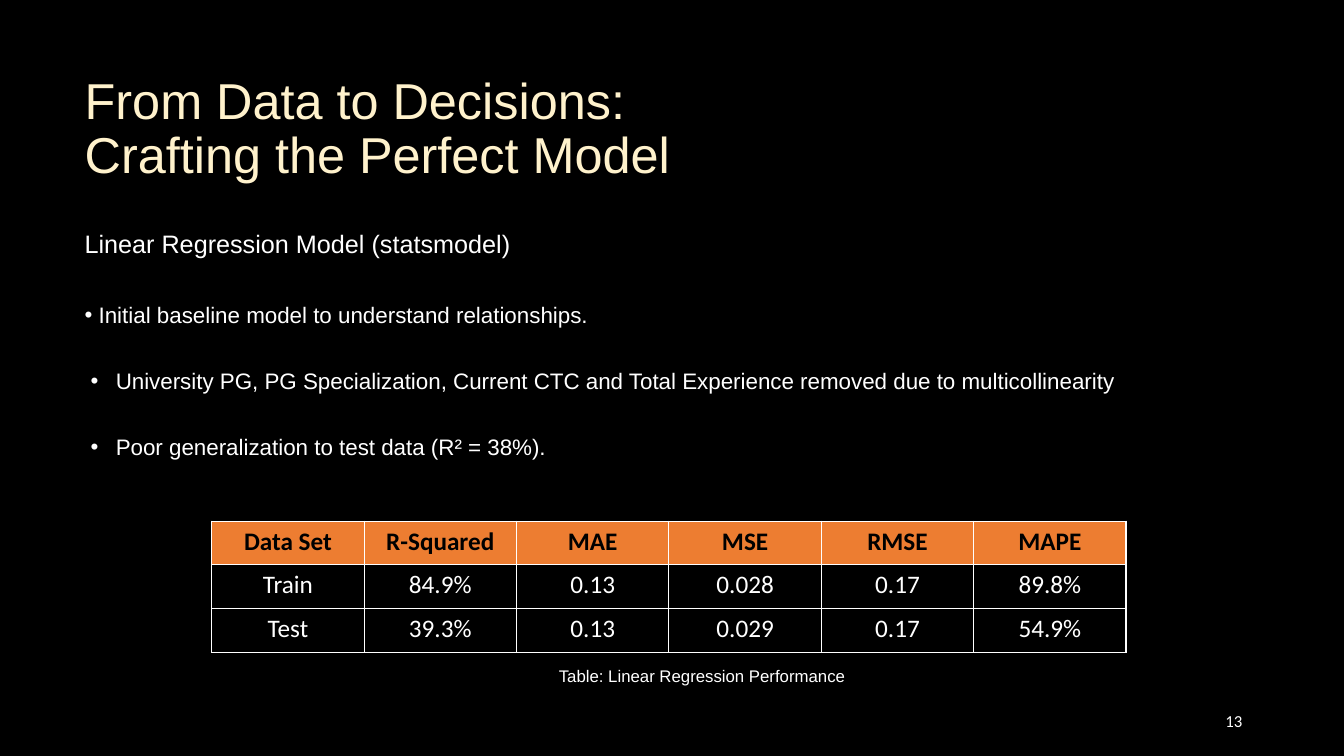
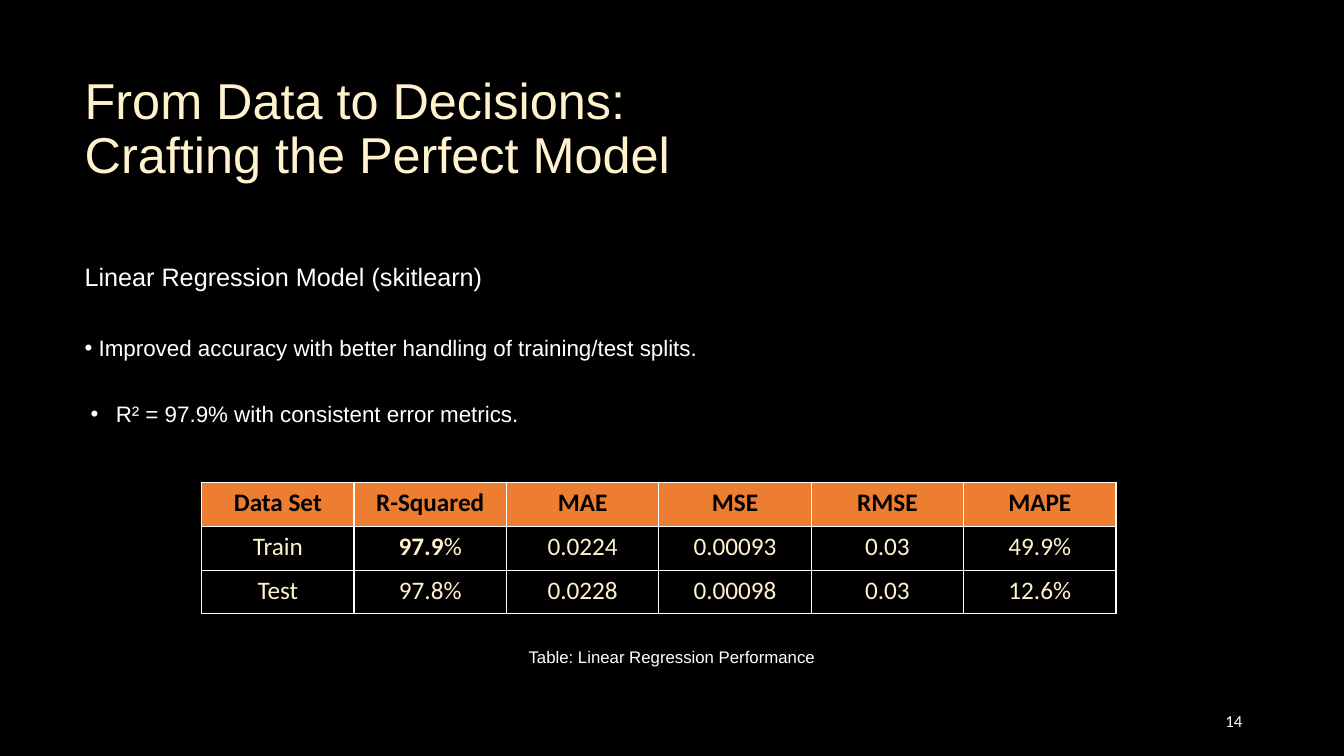
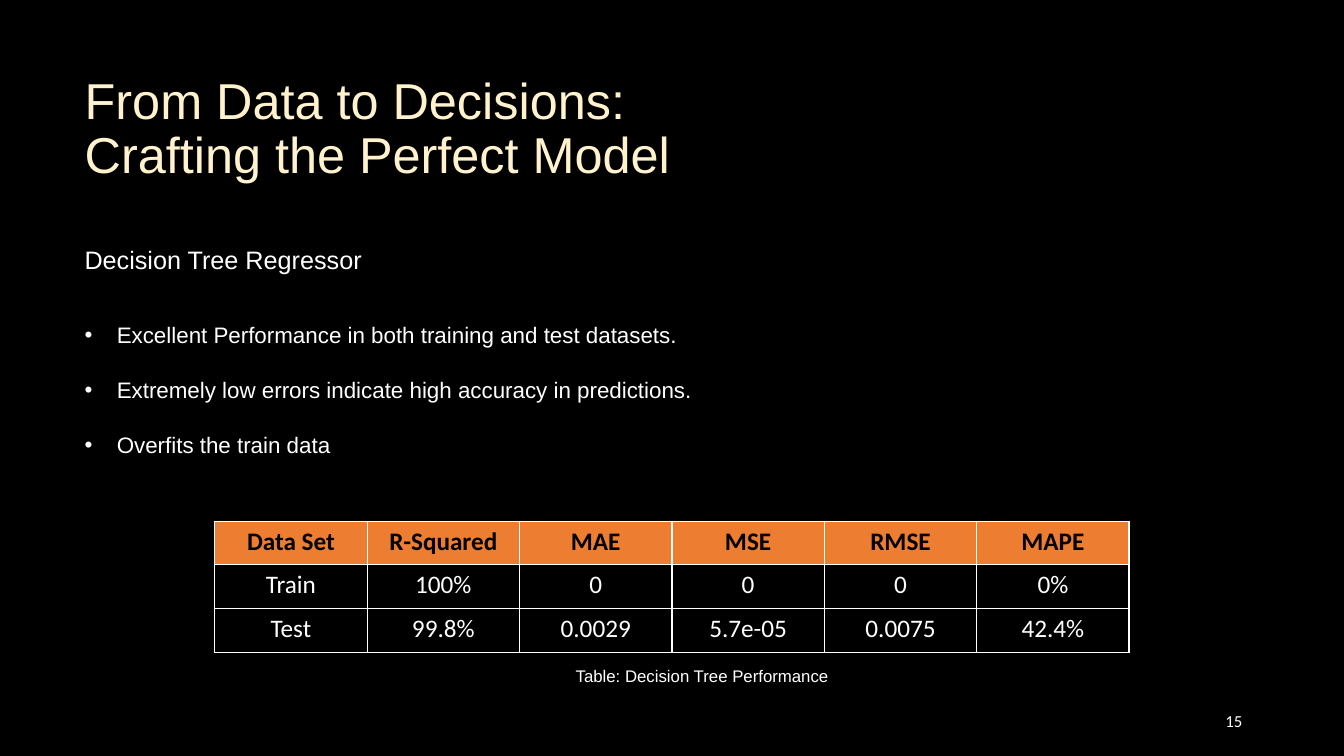
"""Build three slides that report regression model performance."""
import dataclasses

import lxml.etree
import pptx
import pptx.dml.color
import pptx.enum.text
import pptx.oxml.ns
import pptx.util

Inches = pptx.util.Inches
Pt = pptx.util.Pt
RGB = pptx.dml.color.RGBColor
Align = pptx.enum.text.PP_ALIGN
Anchor = pptx.enum.text.MSO_ANCHOR
qn = pptx.oxml.ns.qn


@dataclasses.dataclass(frozen=True)
class Theme:
    black: RGB = RGB(0x00, 0x00, 0x00)
    white: RGB = RGB(0xFF, 0xFF, 0xFF)
    cream: RGB = RGB(0xFF, 0xF2, 0xCC)
    orange: RGB = RGB(0xED, 0x7D, 0x31)
    text_font: str = "Arial"
    table_font: str = "Calibri"
    title_size: Pt = Pt(36)
    heading_size: Pt = Pt(18)
    bullet_size: Pt = Pt(16)
    table_size: Pt = Pt(18)
    small_size: Pt = Pt(12)


THEME = Theme()
TITLE = "From Data to Decisions: Crafting the Perfect Model"
HEADER = ["Data Set", "R-Squared", "MAE", "MSE", "RMSE", "MAPE"]
FIRST_PAGE_NUMBER = 13

PAGES = [
    {
        "heading": "Linear Regression Model (statsmodel)",
        "bullets": [
            (0.14, -0.14, "Initial baseline model to understand relationships."),
            (0.31, -0.25, "University PG, PG Specialization, Current CTC and Total Experience "
                          "removed due to multicollinearity"),
            (0.31, -0.25, "Poor generalization to test data (R² = 38%)."),
        ],
        "body_height": 3.14, "bottom_margin": 0.38,
        "line_spacing": 0.9, "first_gap": 32, "bullet_gap": 30,
        "table_at": (2.1, 5.17), "value_color": THEME.white,
        "rows": [["Train", "84.9%", "0.13", "0.028", "0.17", "89.8%"],
                 ["Test", "39.3%", "0.13", "0.029", "0.17", "54.9%"]],
        "caption": "Table: Linear Regression Performance", "caption_at": (4.73, 6.56),
    },
    {
        "heading": "Linear Regression Model (skitlearn)",
        "bullets": [
            (0.14, -0.14, "Improved accuracy with better handling of training/test splits."),
            (0.31, -0.25, "R² = 97.9% with consistent error metrics."),
        ],
        "body_height": 3.14, "bottom_margin": 0.38,
        "line_spacing": 0.9, "first_gap": 32, "bullet_gap": 30,
        "table_at": (2, 4.79), "value_color": THEME.cream,
        "rows": [["Train", "**97.9**%", "0.0224", "0.00093", "0.03", "49.9%"],
                 ["Test", "97.8%", "0.0228", "0.00098", "0.03", "12.6%"]],
        "caption": "Table: Linear Regression Performance", "caption_at": (4.43, 6.37),
    },
    {
        "heading": "Decision Tree Regressor",
        "bullets": [
            (0.32, -0.32, "Excellent Performance in both training and test datasets."),
            (0.32, -0.32, "Extremely low errors indicate high accuracy in predictions."),
            (0.32, -0.32, "Overfits the train data"),
        ],
        "body_height": 2.94, "bottom_margin": 0.05,
        "line_spacing": 1.0, "first_gap": 33, "bullet_gap": 20,
        "table_at": (2.13, 5.17), "value_color": THEME.white,
        "rows": [["Train", "100%", "0", "0", "0", "0%"],
                 ["Test", "99.8%", "0.0029", "5.7e-05", "0.0075", "42.4%"]],
        "caption": "Table: Decision Tree Performance", "caption_at": (4.73, 6.56),
    },
]


def style(font, name, size, color, bold=False):
    font.name, font.size, font.bold = name, size, bold
    font.color.rgb = color


def add_text(page, left, top, width, height, text, name, size, align, anchor):
    box = page.shapes.add_textbox(Inches(left), Inches(top), Inches(width), Inches(height))
    frame = box.text_frame
    frame.word_wrap = True
    frame.vertical_anchor = anchor
    frame.text = text
    frame.paragraphs[0].alignment = align
    style(frame.paragraphs[0].runs[0].font, name, size, THEME.white)
    return frame


deck = pptx.Presentation()
deck.slide_width, deck.slide_height = Inches(13.33), Inches(7.5)
backdrop = deck.slide_master.background.fill
backdrop.solid()
backdrop.fore_color.rgb = THEME.black

for number, content in enumerate(PAGES, FIRST_PAGE_NUMBER):
    page = deck.slides.add_slide(deck.slide_layouts[5])

    title = page.shapes.title
    title.left, title.top = Inches(0.74), Inches(0.65)
    title.width, title.height = Inches(6.88), Inches(1.23)
    title.text_frame.text = TITLE
    title.text_frame.word_wrap = True
    title.text_frame.auto_size = pptx.enum.text.MSO_AUTO_SIZE.NONE
    title.text_frame.vertical_anchor = Anchor.BOTTOM
    para = title.text_frame.paragraphs[0]
    para.alignment, para.line_spacing, para.space_after = Align.LEFT, 0.9, Pt(6)
    style(para.runs[0].font, THEME.text_font, THEME.title_size, THEME.cream)

    body = add_text(page, 0.74, 2.03, 10.83, content["body_height"], content["heading"],
                    THEME.text_font, THEME.heading_size, Align.LEFT, Anchor.MIDDLE)
    body.margin_bottom = Inches(content["bottom_margin"])
    body.paragraphs[0].line_spacing = 0.9
    gap = content["first_gap"]
    for margin, indent, text in content["bullets"]:
        para = body.add_paragraph()
        para.text = text
        para.line_spacing, para.space_before = content["line_spacing"], Pt(gap)
        properties = para._p.get_or_add_pPr()
        properties.set("marL", str(Inches(margin)))
        properties.set("indent", str(Inches(indent)))
        lxml.etree.SubElement(properties, qn("a:buFont"), typeface="Arial")
        lxml.etree.SubElement(properties, qn("a:buChar"), char="•")
        style(para.runs[0].font, THEME.text_font, THEME.bullet_size, THEME.white)
        gap = content["bullet_gap"]

    rows = [HEADER] + content["rows"]
    left, top = content["table_at"]
    table = page.shapes.add_table(len(rows), len(HEADER), Inches(left), Inches(top),
                                  Inches(9.07), Inches(1.3)).table
    for row_index, row in enumerate(rows):
        is_header = row_index == 0
        for column_index, value in enumerate(row):
            cell = table.cell(row_index, column_index)
            borders = cell._tc.get_or_add_tcPr()
            for side in ("a:lnL", "a:lnR", "a:lnT", "a:lnB"):
                line = lxml.etree.SubElement(borders, qn(side), w=str(Pt(1)))
                solid = lxml.etree.SubElement(line, qn("a:solidFill"))
                lxml.etree.SubElement(solid, qn("a:srgbClr"), val=str(THEME.white))
            if is_header:
                cell.fill.solid()
                cell.fill.fore_color.rgb = THEME.orange
            else:
                cell.fill.background()
            para = cell.text_frame.paragraphs[0]
            para.alignment = Align.CENTER
            for part_index, part in enumerate(value.split("**")):
                if part:
                    span = para.add_run()
                    span.text = part
                    style(span.font, THEME.table_font, THEME.table_size,
                          THEME.black if is_header else content["value_color"],
                          is_header or part_index % 2 == 1)

    add_text(page, 9.42, 6.95, 3, 0.4, str(number),
             THEME.table_font, THEME.small_size, Align.RIGHT, Anchor.MIDDLE)
    add_text(page, *content["caption_at"], 4.47, 0.3, content["caption"],
             THEME.text_font, THEME.small_size, Align.CENTER, Anchor.TOP)

deck.save("out.pptx")
